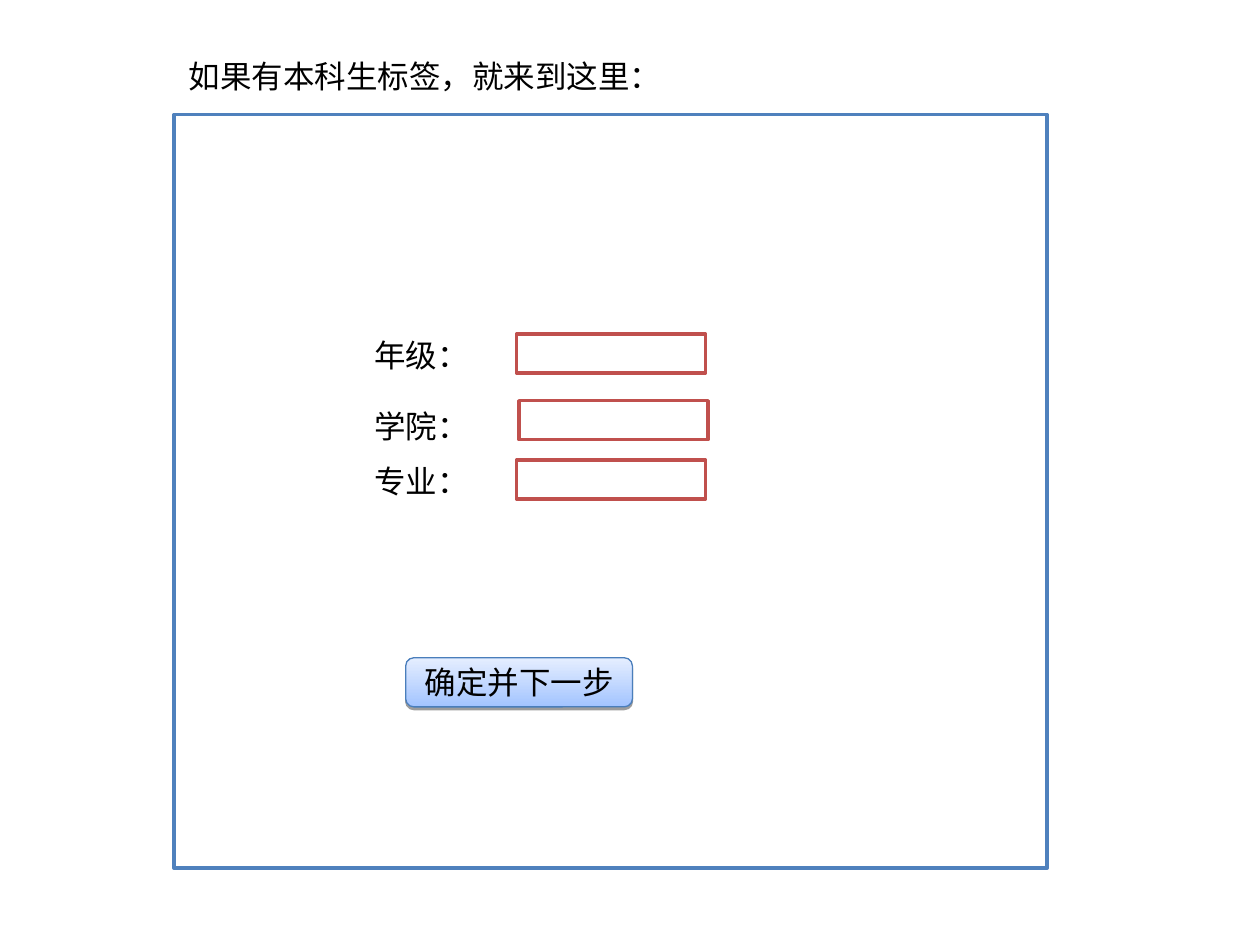
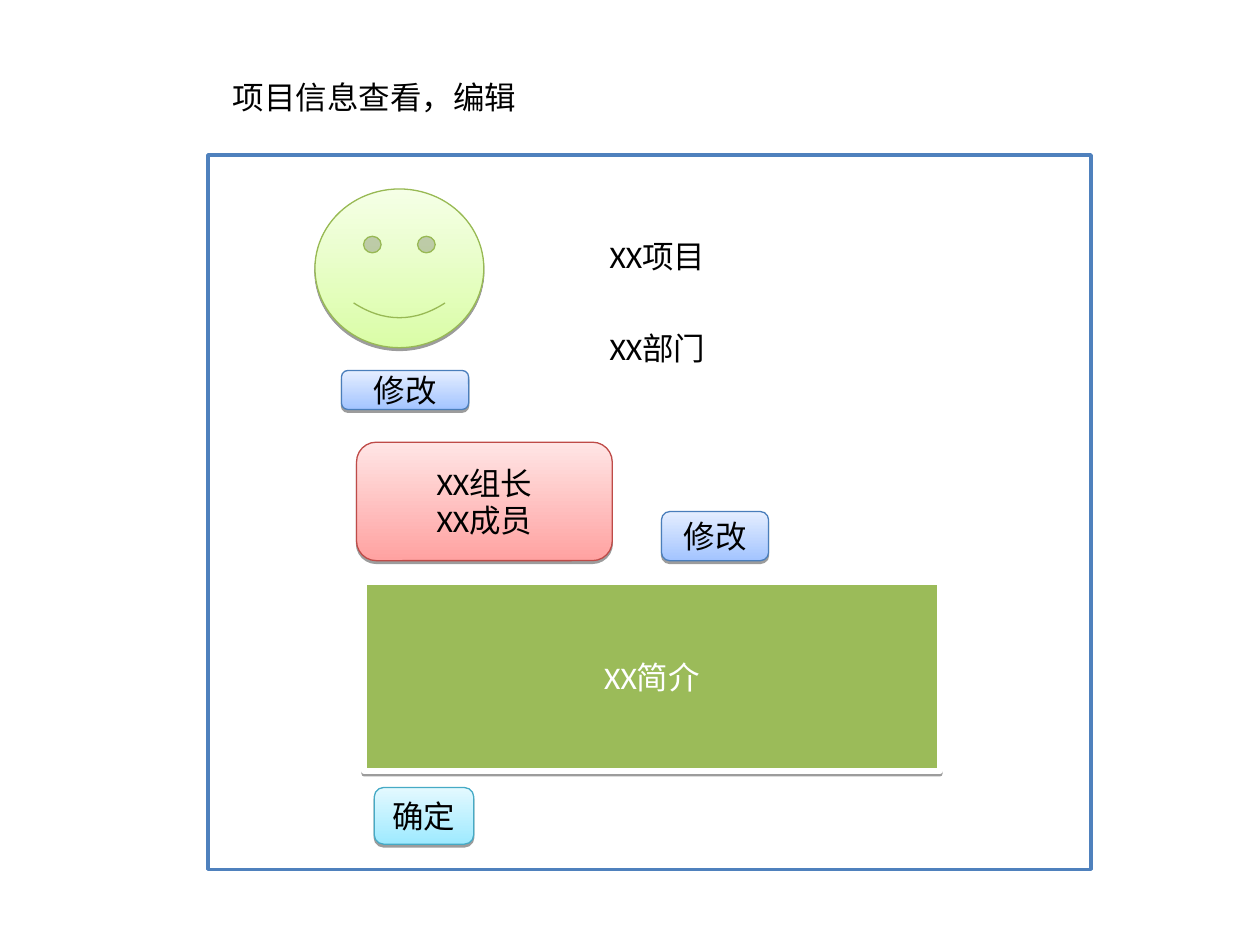
from lxml.etree import SubElement
from pptx import Presentation
from pptx.dml.color import RGBColor
from pptx.enum.shapes import MSO_SHAPE
from pptx.enum.text import MSO_ANCHOR, MSO_AUTO_SIZE, PP_ALIGN
from pptx.oxml.ns import qn
from pptx.util import Inches, Pt

# Shared style
FONT, TEXT_SIZE = "Calibri", 18
BLACK = RGBColor(0x00, 0x00, 0x00)
WHITE = RGBColor(0xFF, 0xFF, 0xFF)
FRAME_BLUE = RGBColor(0x4F, 0x81, 0xBD)
FIELD_RED = RGBColor(0xC0, 0x50, 0x4D)
PANEL_GREEN = RGBColor(0x9B, 0xBB, 0x59)

# Glossy themes: bottom colour, top colour, outline
BLUE = RGBColor(0xA3, 0xC4, 0xFF), RGBColor(0xE5, 0xEE, 0xFF), RGBColor(0x4A, 0x7E, 0xBB)
RED = RGBColor(0xFF, 0xA2, 0xA1), RGBColor(0xFF, 0xE5, 0xE5), RGBColor(0xBE, 0x4B, 0x48)
GREEN = RGBColor(0xDA, 0xFD, 0xA7), RGBColor(0xF5, 0xFF, 0xE6), RGBColor(0x98, 0xB9, 0x54)
AQUA = RGBColor(0x9E, 0xEA, 0xFF), RGBColor(0xE4, 0xF9, 0xFF), RGBColor(0x46, 0xAA, 0xC5)

# Content: areas are (left, top, width, height) in inches
LABEL_HEIGHT = 0.4
FIELD_SIZE = 1.5, 0.31
LABEL_LEFT, LABEL_WIDTH = 2.87, 0.95

STUDENT_FORM = {
    "frame": (1.38, 0.91, 6.93, 5.98),
    "labels": [("如果有本科生标签，就来到这里：", 1.4, 0.4, 3.95)],
    # label, label top, field left, field top
    "fields": [
        ("年级：", 2.62, 4.1, 2.65),
        ("学院：", 3.18, 4.12, 3.18),
        ("专业：", 3.62, 4.1, 3.65),
    ],
    "buttons": [(["确定并下一步"], (3.22, 5.22, 1.8, 0.39), BLUE)],
}
PROJECT_PAGE = {
    "frame": (1.65, 1.23, 7.01, 5.67),
    "labels": [
        ("项目信息查看，编辑", 1.75, 0.57, 2.45),
        ("XX项目", 4.74, 1.83, 1.02),
        ("XX部门", 4.74, 2.56, 1.02),
    ],
    "avatar": (2.5, 1.5, 1.34, 1.26),
    "summary": (["XX简介"], (2.89, 4.62, 4.57, 1.5)),
    "buttons": [
        (["确定"], (2.97, 6.25, 0.79, 0.45), AQUA),
        (["修改"], (2.71, 2.94, 1.01, 0.31), BLUE),
        (["XX组长", "XX成员"], (2.83, 3.51, 2.03, 0.94), RED),
        (["修改"], (5.25, 4.06, 0.85, 0.39), BLUE),
    ],
}


def write(shape, lines, color=BLACK, align=PP_ALIGN.LEFT):
    frame = shape.text_frame
    for index, line in enumerate(lines):
        para = frame.add_paragraph() if index else frame.paragraphs[0]
        para.alignment = align
        span = para.add_run()
        span.text = line
        span.font.name = FONT
        span.font.size = Pt(TEXT_SIZE)
        span.font.color.rgb = color


def write_centred(shape, lines, color=BLACK):
    shape.text_frame.word_wrap = True
    shape.text_frame.vertical_anchor = MSO_ANCHOR.MIDDLE
    write(shape, lines, color, PP_ALIGN.CENTER)


def add_label(page, text, left, top, width):
    box = page.shapes.add_textbox(*map(Inches, (left, top, width, LABEL_HEIGHT)))
    box.text_frame.word_wrap = False
    box.text_frame.auto_size = MSO_AUTO_SIZE.SHAPE_TO_FIT_TEXT
    write(box, [text])


def add_outlined(page, kind, area, line_color, line_width):
    shape = page.shapes.add_shape(kind, *map(Inches, area))
    shape.shadow.inherit = False
    shape.line.color.rgb = line_color
    shape.line.width = Pt(line_width)
    return shape


def add_box(page, area, line_color, line_width=2, fill=WHITE):
    shape = add_outlined(page, MSO_SHAPE.RECTANGLE, area, line_color, line_width)
    shape.fill.solid()
    shape.fill.fore_color.rgb = fill
    return shape


def drop_shadow(shape):
    effects = shape._element.spPr.find(qn("a:effectLst"))
    shadow = SubElement(effects, qn("a:outerShdw"), blurRad="0", dist=str(Pt(1.6)),
                        dir="5400000", rotWithShape="0")
    tint = SubElement(shadow, qn("a:srgbClr"), val=str(BLACK))
    SubElement(tint, qn("a:alpha"), val="38000")


def add_glossy(page, kind, area, theme):
    bottom, top, outline = theme
    shape = add_outlined(page, kind, area, outline, 0.75)
    shape.fill.gradient()
    shape.fill.gradient_angle = 90
    for stop, color, position in zip(shape.fill.gradient_stops, (bottom, top), (0, 1)):
        stop.color.rgb = color
        stop.position = position
    drop_shadow(shape)
    return shape


def build_page(deck, content):
    page = deck.slides.add_slide(deck.slide_layouts[6])
    add_box(page, content["frame"], FRAME_BLUE)
    for label in content["labels"]:
        add_label(page, *label)

    # Form rows
    for text, label_top, field_left, field_top in content.get("fields", []):
        add_box(page, (field_left, field_top, *FIELD_SIZE), FIELD_RED)
        add_label(page, text, LABEL_LEFT, label_top, LABEL_WIDTH)

    # Project portrait and summary
    if "avatar" in content:
        face = add_glossy(page, MSO_SHAPE.SMILEY_FACE, content["avatar"], GREEN)
        face.adjustments[0] = 0.093
    if "summary" in content:
        lines, area = content["summary"]
        panel = add_box(page, area, WHITE, 3, PANEL_GREEN)
        drop_shadow(panel)
        write_centred(panel, lines, WHITE)

    # Buttons
    for lines, area, theme in content["buttons"]:
        button = add_glossy(page, MSO_SHAPE.ROUNDED_RECTANGLE, area, theme)
        write_centred(button, lines)


def main():
    deck = Presentation()
    deck.slide_width, deck.slide_height = Inches(10), Inches(7.5)
    for content in (STUDENT_FORM, PROJECT_PAGE):
        build_page(deck, content)
    deck.save("out.pptx")


if __name__ == "__main__":
    main()
